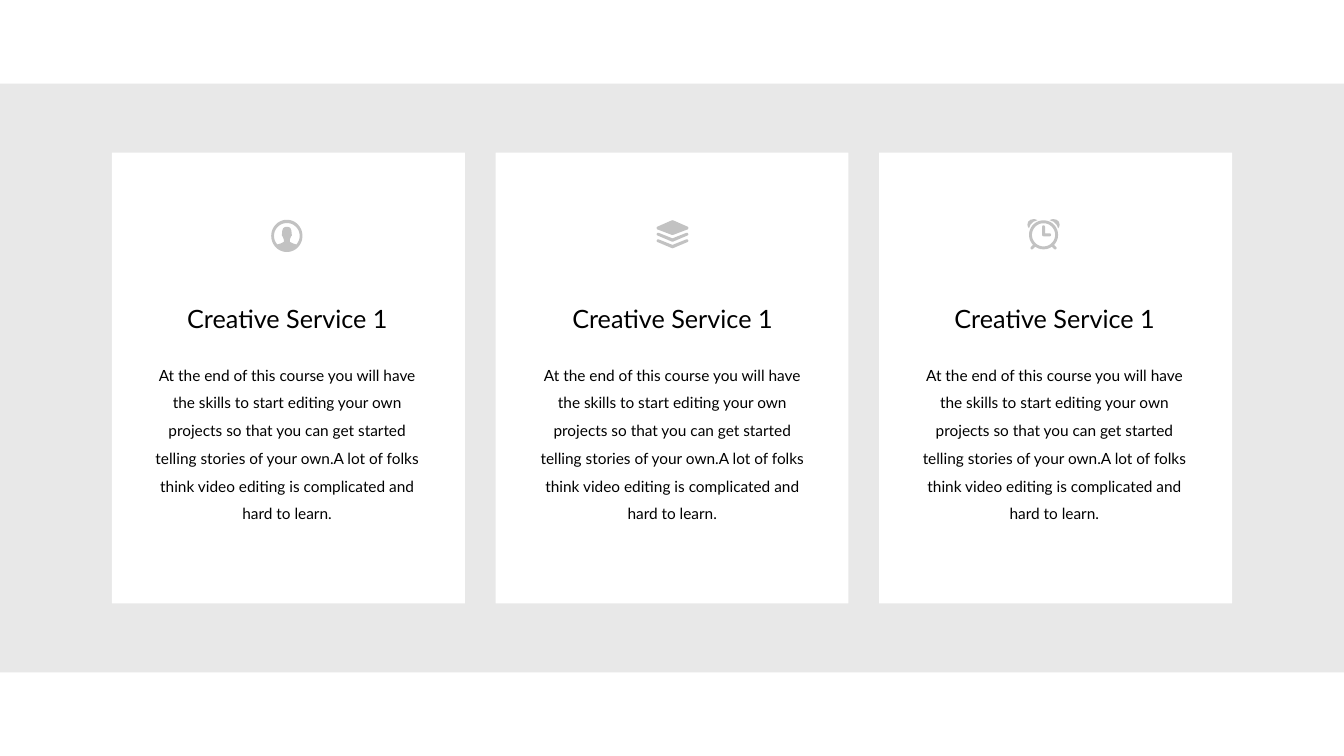
import math
from pptx import Presentation
from pptx import util as u
from pptx.dml import color
from pptx.enum import shapes, text


def rgb(value):
    return color.RGBColor.from_string(value)


def add_text(s, content, left, top, width, height, size, wrap=True, spacing=None):
    tf = s.shapes.add_textbox(u.Inches(left), u.Inches(top), u.Inches(width), u.Inches(height)).text_frame
    tf.word_wrap = wrap
    tf.auto_size = text.MSO_AUTO_SIZE.SHAPE_TO_FIT_TEXT
    tf.vertical_anchor = text.MSO_ANCHOR.MIDDLE
    tf.margin_left = tf.margin_right = tf.margin_top = tf.margin_bottom = u.Inches(0.06)
    p = tf.paragraphs[0]
    p.alignment = text.PP_ALIGN.CENTER
    p.line_spacing = spacing
    r = p.add_run()
    r.text = content
    r.font.name = "Lato"
    r.font.size = u.Pt(size)
    r.font.color.rgb = rgb("000000")


TITLE = "Creative Service 1"
BODY = ("At the end of this course you will have the skills to start editing your own "
        "projects so that you can get started telling stories of your own."
        "A lot of folks think video editing is complicated and hard to learn.")

prs = Presentation()
prs.slide_width, prs.slide_height = u.Inches(26.66), u.Inches(15)
s = prs.slides.add_slide(prs.slide_layouts[6])

panels = [(0, 1.66, 26.66, 11.68, "E8E8E8")]
panels += [(2.22 + 7.61 * i, 3.03, 7, 8.94, "FFFFFF") for i in range(3)]
for left, top, width, height, fill in panels:
    sp = s.shapes.add_shape(shapes.MSO_SHAPE.RECTANGLE, u.Inches(left), u.Inches(top),
                            u.Inches(width), u.Inches(height))
    sp.shadow.inherit = False
    sp.fill.solid()
    sp.fill.fore_color.rgb = rgb(fill)
    sp.line.fill.background()

# Icon outlines are in thousandths of an inch around the icon centre.
circle = [(math.cos(math.radians(a)), math.sin(math.radians(a))) for a in range(0, 360, 6)]
head_arc = [(255 * math.cos(math.radians(a)), 255 * math.sin(math.radians(a)))
            for a in range(270, 137, -6)]
shoulder = [(-190, 170), (-120, 150), (-60, 120), (-60, 70), (-85, 10), (-100, -10),
            (-95, -50), (-90, -110), (-70, -155), (-40, -175), (0, -180)]
half_person = head_arc + shoulder
person = [[(310 * x, 320 * y) for x, y in circle],
          half_person + [(-x, y) for x, y in reversed(half_person)]]

half_sheet = [(0, -280), (-20, -275), (-305, -150), (-317, -130), (-305, -100), (-15, 10), (0, 12)]
half_fold = [(0, 80), (-275, -30), (-300, -30), (-317, 0), (-305, 20), (-15, 143), (0, 147)]
folds = [[(x, y + dy) for x, y in half_fold] for dy in (0, 130)]
layers = [half + [(-x, y) for x, y in reversed(half)] for half in [half_sheet] + folds]

bell = [(290, -130), (260, -200), (200, -260), (120, -290), (160, -308), (200, -312),
        (260, -298), (305, -260), (320, -200), (310, -160)]
foot = [(210, 200), (250, 240), (260, 262), (250, 285), (230, 290), (210, 282), (160, 232)]
hands = [(-30, -160), (-20, -182), (0, -190), (20, -182), (30, -160), (30, -30), (120, -30),
         (142, -20), (150, 0), (142, 22), (120, 30), (0, 30), (-22, 22), (-30, 0)]
clock = [[(r * x, r * y) for x, y in circle] for r in (288, 230)] + [hands]
clock += [[(side * x, y) for x, y in part] for part in (bell, foot) for side in (1, -1)]

for contours, x, y in ((person, 5.69, 4.68), (layers, 13.34, 4.65), (clock, 20.7, 4.66)):
    builder = s.shapes.build_freeform(*contours[0][0], scale=u.Inches(0.001))
    builder.add_line_segments(contours[0][1:], close=True)
    for contour in contours[1:]:
        builder.move_to(*contour[0])
        builder.add_line_segments(contour[1:], close=True)
    sp = builder.convert_to_shape(u.Inches(x), u.Inches(y))
    sp.shadow.inherit = False
    sp.fill.solid()
    sp.fill.fore_color.rgb = rgb("C2C2C2")
    sp.line.fill.background()

for left in (2.96, 10.6, 18.18):
    add_text(s, BODY, left, 7.02, 5.47, 3.41, size=22, spacing=1.5)
    add_text(s, TITLE, left + 0.61, 5.97, 4.26, 0.71, size=36, wrap=False)

prs.save("out.pptx")
